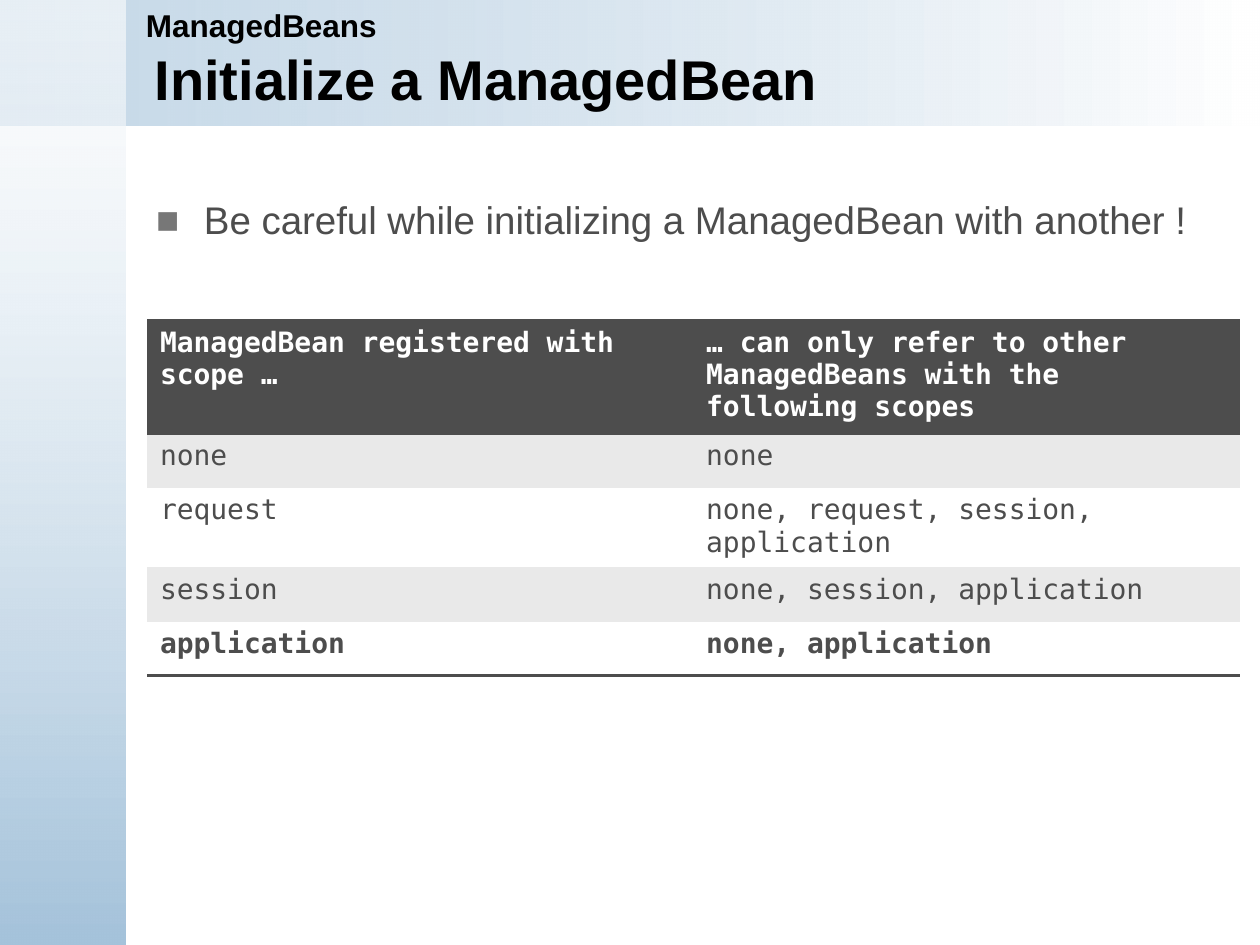
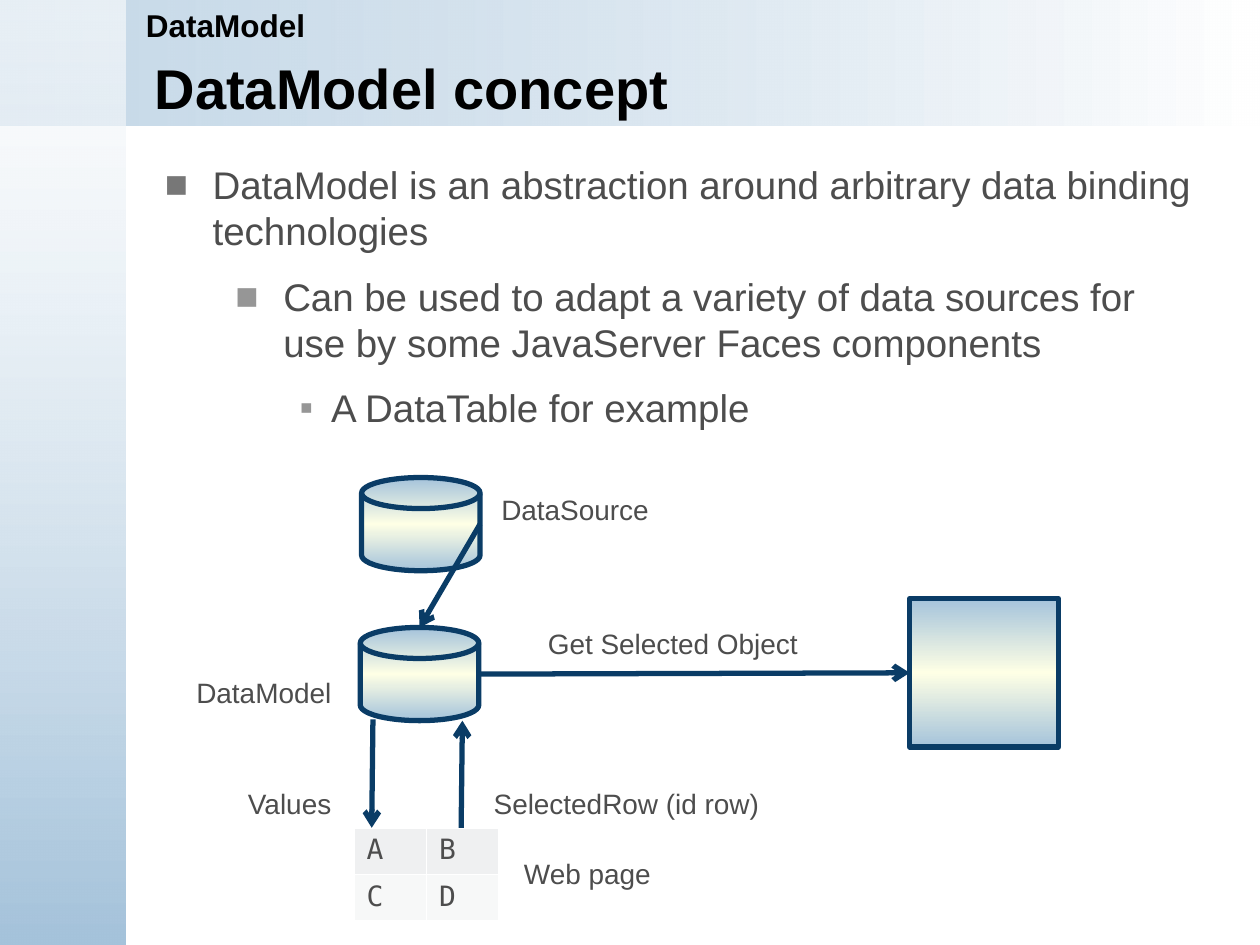
from dataclasses import dataclass

from lxml.etree import SubElement
from pptx import Presentation
from pptx.dml.color import RGBColor
from pptx.enum.shapes import MSO_CONNECTOR, MSO_SHAPE
from pptx.enum.text import MSO_ANCHOR
from pptx.oxml.ns import qn
from pptx.util import Inches, Pt

RECTANGLE = MSO_SHAPE.RECTANGLE
DISK = MSO_SHAPE.FLOWCHART_MAGNETIC_DISK
STRAIGHT = MSO_CONNECTOR.STRAIGHT
MIDDLE = MSO_ANCHOR.MIDDLE
TOP = MSO_ANCHOR.TOP
LEFT_SIDE, BOTTOM_SIDE = 1, 3

COLUMNS, ROWS = 10, 7.5
UNIT = Inches(1)  # one grid column or row

SANS, MONO = "Arial", "DejaVu Sans Mono"
BLACK, WHITE = "000000", "FFFFFF"
INK = "4D4D4D"
BLUE, CREAM, NAVY = "A5C3DB", "FEFFE5", "0A3C66"
BAND_GREY = "E9E9E9"
NO_GRID_STYLE = "{2D5ABB26-0587-4C30-8999-92F81FD0307C}"

# One entry per level: text indent, hanging indent, symbol, colour
BULLETS = [
    (0.38, 0.38, "■", "777777"),
    (0.94, 0.38, "■", "969696"),
    (1.32, 0.25, "▪", "969696"),
]


@dataclass
class Box:
    """An area of the slide in grid columns and rows."""
    left: float
    top: float
    width: float
    height: float

    def inner(self, left, top, width, height):
        return Box(self.left + left, self.top + top, width, height)

    def point(self, left, top):
        return units(self.left + left), units(self.top + top)

    def placement(self):
        return [units(n) for n in (self.left, self.top, self.width, self.height)]


SLIDE = Box(0, 0, COLUMNS, ROWS)


def units(count):
    return round(count * UNIT)


def color(value):
    return RGBColor.from_string(value)


def set_font(paragraph, size, value, name=SANS, bold=False):
    font = paragraph.font
    font.size, font.name, font.bold = Pt(size), name, bold
    font.color.rgb = color(value)


def add_color(parent, value, opacity=100):
    node = SubElement(parent, qn("a:srgbClr"), val=value)
    if opacity < 100:
        SubElement(node, qn("a:alpha"), val=str(opacity * 1000))


def fill_gradient(shape, angle, stops):
    """Fill with (position, colour, opacity) stops; the angle runs clockwise."""
    shape.fill.gradient()
    shape.fill.gradient_angle = -angle % 360
    stop_list = shape._element.spPr.find(qn("a:gradFill")).find(qn("a:gsLst"))
    for old_stop in list(stop_list):
        stop_list.remove(old_stop)
    for position, value, opacity in stops:
        stop = SubElement(stop_list, qn("a:gs"), pos=str(position * 1000))
        add_color(stop, value, opacity)


def add_gradient_shape(slide, kind, box, angle, stops):
    shape = slide.shapes.add_shape(kind, *box.placement())
    shape.shadow.inherit = False
    shape.line.fill.background()
    fill_gradient(shape, angle, stops)
    return shape


def add_text_frame(slide, box, wrap=True, anchor=TOP):
    frame = slide.shapes.add_textbox(*box.placement()).text_frame
    frame.word_wrap = wrap
    frame.vertical_anchor = anchor
    return frame


def add_line_of_text(slide, box, text, size, value, bold=False, wrap=True, anchor=TOP):
    paragraph = add_text_frame(slide, box, wrap, anchor).paragraphs[0]
    paragraph.text = text
    set_font(paragraph, size, value, bold=bold)


def add_base_slide(presentation, topic, title, title_top):
    """Start a slide with the bands, the topic and the title."""
    slide = presentation.slides.add_slide(presentation.slide_layouts[6])
    header = SLIDE.inner(0, 0, COLUMNS, 1)
    sidebar = SLIDE.inner(0, 0, 1, ROWS)
    add_gradient_shape(slide, RECTANGLE, header, 0, [(0, BLUE, 62), (100, WHITE, 100)])
    add_gradient_shape(slide, RECTANGLE, sidebar, 90, [(0, WHITE, 59), (100, BLUE, 100)])
    add_line_of_text(slide, header.inner(1.13, title_top, 8.45, 0.92), title, 32, BLACK,
                     bold=True, anchor=MIDDLE)
    add_line_of_text(slide, header.inner(1.06, 0, 8.94, 0.4), topic, 18, BLACK, bold=True)
    return slide


def set_bullet(paragraph, level):
    indent, hanging, symbol, value = BULLETS[level]
    paragraph.level = level
    properties = paragraph._p.get_or_add_pPr()
    properties.set("marL", str(units(indent)))
    properties.set("indent", str(-units(hanging)))
    add_color(SubElement(properties, qn("a:buClr")), value)
    SubElement(properties, qn("a:buFont"), typeface=SANS)
    SubElement(properties, qn("a:buChar"), char=symbol)


def add_bullets(slide, box, lines, line_spacing=1.0):
    """Give each line the bullet of the next deeper level."""
    frame = add_text_frame(slide, box)
    for level, text in enumerate(lines):
        paragraph = frame.add_paragraph() if level else frame.paragraphs[0]
        paragraph.text = text
        paragraph.line_spacing = line_spacing
        paragraph.space_before, paragraph.space_after = Pt(4.4), Pt(6.6)
        set_bullet(paragraph, level)
        set_font(paragraph, 22, INK)


def add_borders(cell, sides, value, width):
    """Draw the sides, which must be in the order L, R, T, B."""
    properties = cell._tc.get_or_add_tcPr()
    for side in sides:
        border = SubElement(properties, qn(f"a:ln{side}"), w=str(Pt(width)))
        add_color(SubElement(border, qn("a:solidFill")), value)


def add_plain_table(slide, box, rows, heights):
    table = slide.shapes.add_table(len(rows), len(rows[0]), *box.placement()).table
    table.horz_banding = False
    table._tbl.tblPr.find(qn("a:tableStyleId")).text = NO_GRID_STYLE
    for column in table.columns:
        column.width = units(box.width / len(rows[0]))
    for row, height, texts in zip(table.rows, heights, rows):
        row.height = units(height)
        for cell, text in zip(row.cells, texts):
            cell.text = text
    return table


def style_cell(cell, fill, ink, bold=False):
    cell.fill.solid()
    cell.fill.fore_color.rgb = color(fill)
    set_font(cell.text_frame.paragraphs[0], 16, ink, MONO, bold)


def add_scope_table(slide, box):
    rows = [
        ("ManagedBean registered with scope …",
         "… can only refer to other ManagedBeans with the following scopes"),
        ("none", "none"),
        ("request", "none, request, session, application"),
        ("session", "none, session, application"),
        ("application", "none, application"),
    ]
    last = len(rows) - 1
    table = add_plain_table(slide, box, rows, [0.83] + [0.43] * last)
    for index, row in enumerate(table.rows):
        for cell in row.cells:
            if index == 0:
                add_borders(cell, "TB", INK, 2)
                style_cell(cell, INK, WHITE, bold=True)
                continue
            if index == last:
                add_borders(cell, "B", INK, 2)
            style_cell(cell, BAND_GREY if index % 2 else WHITE, INK, bold=index == last)


def add_web_page_table(slide, box):
    table = add_plain_table(slide, box, ["AB", "CD"], [box.height / 2] * 2)
    for row, fill in zip(table.rows, ("EFF0F1", "F7F8F8")):
        for cell in row.cells:
            add_borders(cell, "LRTB", WHITE, 1)
            style_cell(cell, fill, INK)


def add_node(slide, kind, box):
    stops = [(0, BLUE, 100), (50, CREAM, 100), (100, BLUE, 100)]
    node = add_gradient_shape(slide, kind, box, 90, stops)
    node.line.color.rgb = color(NAVY)
    node.line.width = Pt(3)
    return node


def add_arrow(slide, start, end):
    arrow = slide.shapes.add_connector(STRAIGHT, *start, *end)
    arrow.line.color.rgb = color(NAVY)
    arrow.line.width = Pt(3)
    SubElement(arrow.line._get_or_add_ln(), qn("a:tailEnd"), type="arrow")
    SubElement(arrow._element.spPr, qn("a:effectLst"))
    return arrow


def add_data_model_diagram(slide, box):
    source = add_node(slide, DISK, box.inner(1.41, 0, 0.94, 0.74))
    add_node(slide, DISK, box.inner(1.4, 1.19, 0.94, 0.74))
    selected_object = add_node(slide, RECTANGLE, box.inner(5.76, 0.96, 1.18, 1.18))
    add_web_page_table(slide, box.inner(1.35, 2.78, 1.15, 0.74))

    load = add_arrow(slide, box.point(1.88, 0.74), box.point(1.87, 1.19))
    load.begin_connect(source, BOTTOM_SIDE)
    get_object = add_arrow(slide, box.point(2.34, 1.56), box.point(5.76, 1.55))
    get_object.end_connect(selected_object, LEFT_SIDE)
    add_arrow(slide, box.point(1.5, 1.92), box.point(1.49, 2.78))
    add_arrow(slide, box.point(2.2, 2.78), box.point(2.21, 1.93))

    labels = [
        ("DataSource", 2.42, 0.07, 1.39),
        ("DataModel", 0, 1.52, 1.28),
        ("Get Selected Object", 2.79, 1.13, 2.21),
        ("Values", 0.41, 2.4, 0.87),
        ("SelectedRow (id row)", 2.36, 2.4, 2.33),
        ("Web page", 2.6, 2.96, 1.22),
    ]
    for text, left, top, width in labels:
        add_line_of_text(slide, box.inner(left, top, width, 0.37), text, 16, INK, wrap=False)


def add_scope_slide(presentation):
    slide = add_base_slide(presentation, "ManagedBeans", "Initialize a ManagedBean", 0.16)
    add_bullets(slide, SLIDE.inner(1.14, 1.55, 8.58, 0.76),
                ["Be careful while initializing a ManagedBean with another !"], 0.9)
    add_scope_table(slide, SLIDE.inner(1.17, 2.54, 8.67, 2.55))


def add_concept_slide(presentation):
    slide = add_base_slide(presentation, "DataModel", "DataModel concept", 0.23)
    add_bullets(slide, SLIDE.inner(1.21, 1.23, 8.44, 2.4), [
        "DataModel is an abstraction around arbitrary data binding technologies",
        "Can be used to adapt a variety of data sources for use by some "
        "JavaServer Faces components",
        "A DataTable for example",
    ])
    add_data_model_diagram(slide, SLIDE.inner(1.46, 3.79, 6.94, 3.52))


def main():
    presentation = Presentation()
    presentation.slide_width = units(COLUMNS)
    presentation.slide_height = units(ROWS)
    add_scope_slide(presentation)
    add_concept_slide(presentation)
    presentation.save("out.pptx")


if __name__ == "__main__":
    main()
